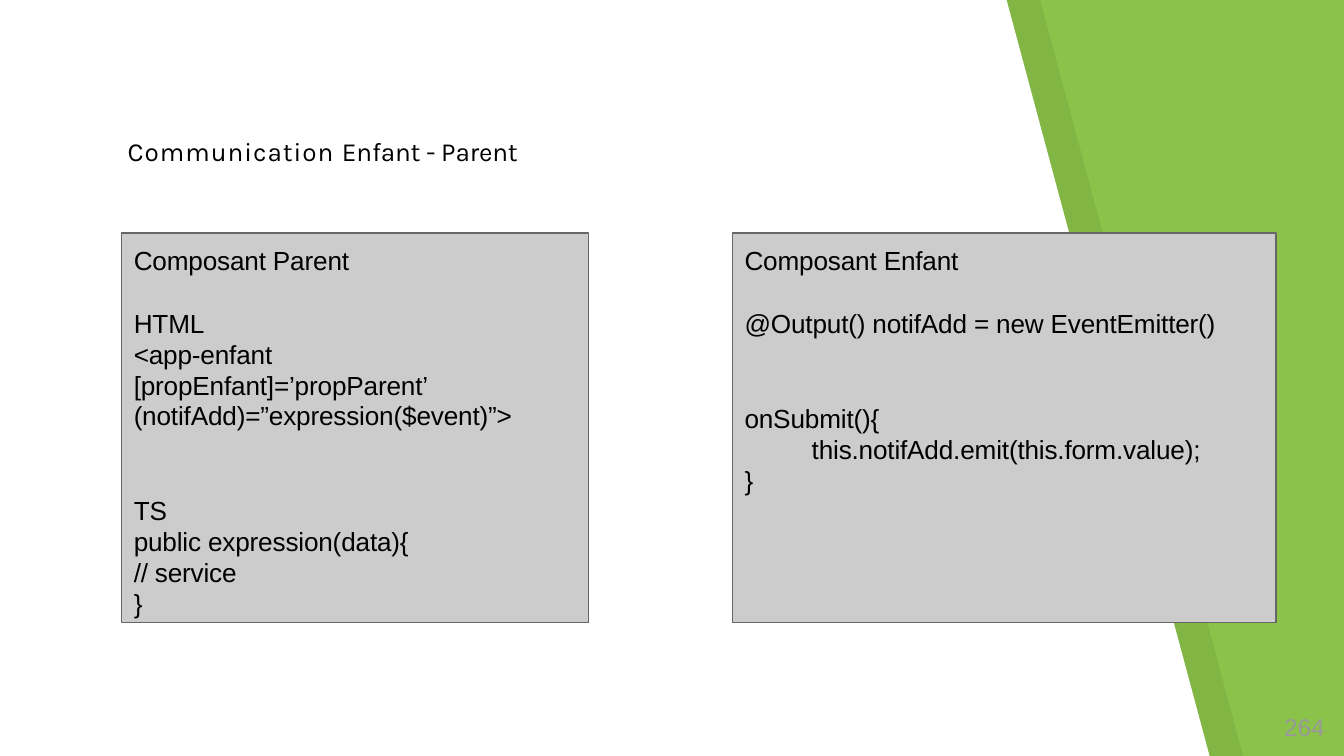
from dataclasses import dataclass

import pptx
import pptx.dml.color
import pptx.enum.shapes
import pptx.enum.text
import pptx.oxml
import pptx.oxml.ns
import pptx.util


@dataclass(frozen=True)
class Theme:
    green: str = "8BC34A"
    shade: str = "000000"
    paper: str = "FFFFFF"
    panel: str = "CCCCCC"
    border: str = "666666"
    ink: str = "000000"
    muted: str = "999999"
    heading_font: str = "Karla"
    body_font: str = "Arial"
    body_size: float = 14
    number_size: float = 13
    line_pitch: float = 16.5
    wide: int = 50
    tight: int = -10


@dataclass(frozen=True)
class Area:
    left: float
    top: float
    width: float
    height: float


@dataclass(frozen=True)
class Line:
    text: str
    blank_lines: int = 0
    indent: float = 0.09


@dataclass(frozen=True)
class Component:
    area: Area
    lines: tuple[Line, ...]


@dataclass(frozen=True)
class Band:
    left: float
    top_right: float
    bottom_right: float
    color: str
    opacity: int = 100


THEME = Theme()
WIDTH = pptx.util.Inches(10)
HEIGHT = pptx.util.Emu(WIDTH * 9 // 16)

BANDS = (
    Band(2.5, 77.4, 92.5, THEME.shade, 7),
    Band(0, 74.9, 90, THEME.paper),
)

COMPONENTS = (
    Component(Area(9.05, 30.8, 34.75, 51.55), (
        Line("Composant Parent"),
        Line("HTML", 1),
        Line("<app-enfant [propEnfant]=’propParent’ (notifAdd)=”expression($event)”>"),
        Line("TS", 2),
        Line("public expression(data){"),
        Line("// service"),
        Line("}"),
    )),
    Component(Area(54.5, 30.8, 40.45, 51.55), (
        Line("Composant Enfant"),
        Line("@Output() notifAdd = new EventEmitter()", 1),
        Line("onSubmit(){", 2),
        Line("this.notifAdd.emit(this.form.value);", indent=0.59),
        Line("}"),
    )),
)


def across(percent: float) -> int:
    return round(WIDTH * percent / 100)


def down(percent: float) -> int:
    return round(HEIGHT * percent / 100)


def bounds(area: Area) -> tuple[int, int, int, int]:
    return across(area.left), down(area.top), across(area.width), down(area.height)


def rgb(color: str) -> pptx.dml.color.RGBColor:
    return pptx.dml.color.RGBColor.from_string(color)


def style(run, name: str, size: float, color: str, tracking: int = 0) -> None:
    run.font.name = name
    run.font.size = pptx.util.Pt(size)
    run.font.bold = False
    run.font.color.rgb = rgb(color)
    run._r.get_or_add_rPr().set("spc", str(tracking))


def set_frame(frame, left: float, top: float, right: float) -> None:
    frame.word_wrap = True
    frame.auto_size = pptx.enum.text.MSO_AUTO_SIZE.NONE
    frame.vertical_anchor = pptx.enum.text.MSO_ANCHOR.TOP
    frame.margin_left = pptx.util.Inches(left)
    frame.margin_top = pptx.util.Inches(top)
    frame.margin_right = pptx.util.Inches(right)
    frame.margin_bottom = 0


def draw_band(slide, band: Band) -> None:
    outline = slide.shapes.build_freeform(across(band.left), 0)
    outline.add_line_segments((
        (across(band.top_right), 0),
        (across(band.bottom_right), HEIGHT),
        (across(band.left), HEIGHT),
    ), close=True)
    stripe = outline.convert_to_shape()
    stripe.shadow.inherit = False
    stripe.line.fill.background()
    stripe.fill.solid()
    stripe.fill.fore_color.rgb = rgb(band.color)
    if band.opacity < 100:
        swatch = stripe.element.spPr.find(".//" + pptx.oxml.ns.qn("a:srgbClr"))
        swatch.append(pptx.oxml.parse_xml(
            f'<a:alpha {pptx.oxml.ns.nsdecls("a")} val="{band.opacity * 1000}"/>'))


def draw_component(slide, component: Component) -> None:
    panel = slide.shapes.add_shape(
        pptx.enum.shapes.MSO_SHAPE.RECTANGLE, *bounds(component.area))
    panel.shadow.inherit = False
    panel.fill.solid()
    panel.fill.fore_color.rgb = rgb(THEME.panel)
    panel.line.color.rgb = rgb(THEME.border)
    panel.line.width = pptx.util.Pt(0.75)
    frame = panel.text_frame
    set_frame(frame, 0, 0.09, 0.3)
    frame.text = "\n".join(line.text for line in component.lines)
    for paragraph, line in zip(frame.paragraphs, component.lines):
        paragraph.alignment = pptx.enum.text.PP_ALIGN.LEFT
        paragraph.line_spacing = pptx.util.Pt(THEME.line_pitch)
        paragraph.space_before = pptx.util.Pt(line.blank_lines * 17.2)
        properties = paragraph._p.get_or_add_pPr()
        properties.set("marL", str(pptx.util.Inches(line.indent)))
        properties.set("indent", "0")
        style(paragraph.runs[0], THEME.body_font, THEME.body_size, THEME.ink, THEME.tight)


def place_title(slide) -> None:
    title = slide.shapes.title
    title.left, title.top, title.width, title.height = bounds(Area(3.7, 3.2, 70.9, 20.6))
    title.element.getparent().append(title.element)
    set_frame(title.text_frame, 0.58, 0.83, 0)
    title.text_frame.text = "Communication "
    paragraph = title.text_frame.paragraphs[0]
    paragraph.alignment = pptx.enum.text.PP_ALIGN.LEFT
    paragraph.add_run().text = "Enfant - Parent"
    for run, tracking in zip(paragraph.runs, (THEME.wide, THEME.tight)):
        style(run, THEME.heading_font, THEME.body_size, THEME.ink, tracking)


def draw_page_number(slide, number: str) -> None:
    page = slide.shapes.add_textbox(*bounds(Area(92.5, 94.2, 6.05, 4.5)))
    set_frame(page.text_frame, 0, 0, 0)
    page.text_frame.text = number
    paragraph = page.text_frame.paragraphs[0]
    paragraph.alignment = pptx.enum.text.PP_ALIGN.RIGHT
    style(paragraph.runs[0], THEME.body_font, THEME.number_size, THEME.muted)


def main() -> None:
    deck = pptx.Presentation()
    deck.slide_width, deck.slide_height = WIDTH, HEIGHT
    slide = deck.slides.add_slide(deck.slide_layouts.get_by_name("Title Only"))
    slide.background.fill.solid()
    slide.background.fill.fore_color.rgb = rgb(THEME.green)
    for band in BANDS:
        draw_band(slide, band)
    for component in COMPONENTS:
        draw_component(slide, component)
    place_title(slide)
    draw_page_number(slide, "264")
    deck.save("out.pptx")


if __name__ == "__main__":
    main()
